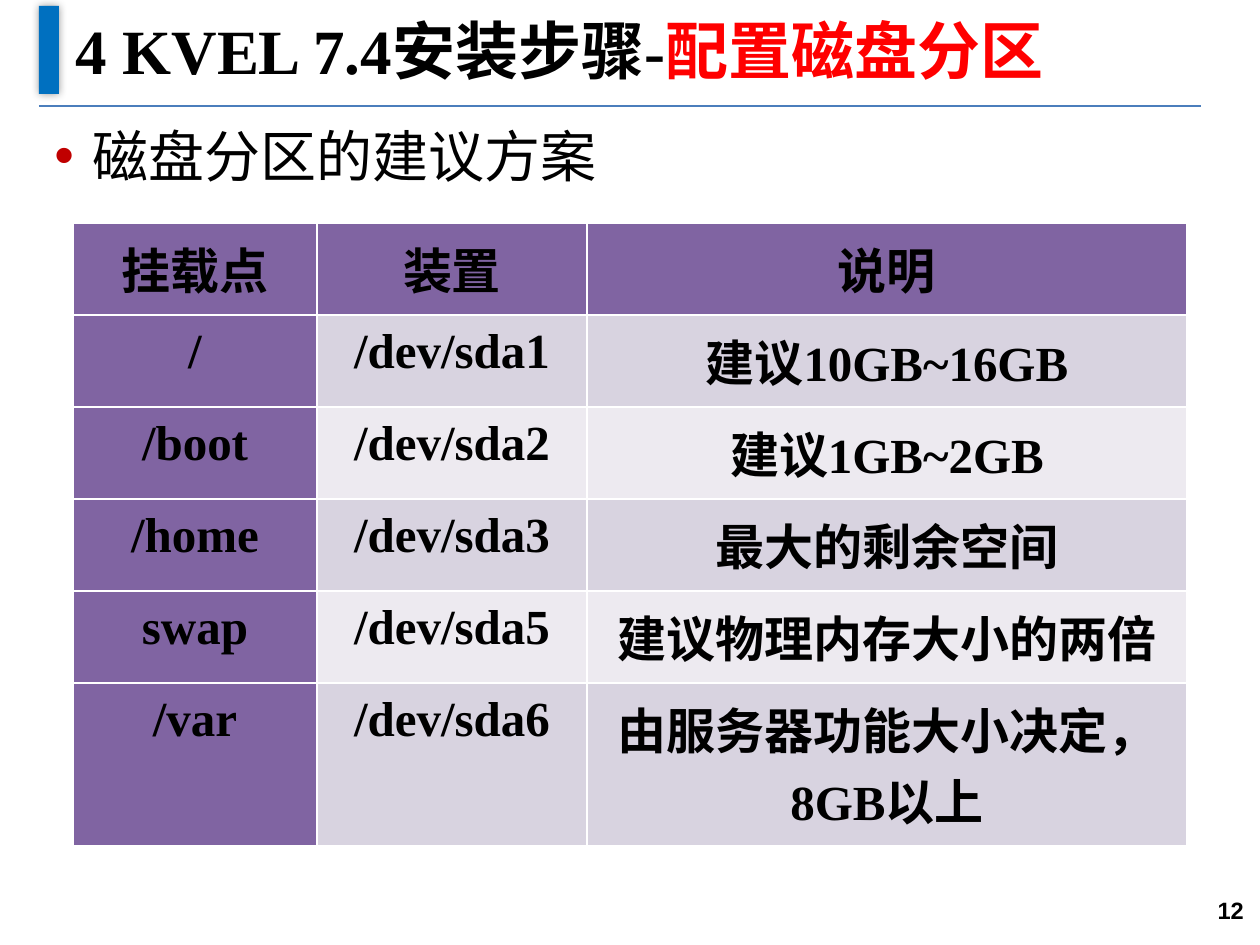
from typing import NamedTuple

from lxml.etree import SubElement
from pptx import Presentation
from pptx.dml.color import RGBColor
from pptx.enum.shapes import MSO_CONNECTOR as Connector, MSO_SHAPE as Shape
from pptx.enum.text import MSO_ANCHOR as Anchor, PP_ALIGN as Align
from pptx.oxml.ns import qn
from pptx.util import Emu, Pt

PX_PER_INCH = 126
BLACK = RGBColor(0x00, 0x00, 0x00)
WHITE = RGBColor(0xFF, 0xFF, 0xFF)
RED = RGBColor(0xFF, 0x00, 0x00)
BULLET_RED = RGBColor(0xC0, 0x00, 0x00)
BAR_BLUE = RGBColor(0x00, 0x70, 0xC0)
RULE_BLUE = RGBColor(0x4B, 0x7E, 0xBC)
PURPLE = RGBColor(0x80, 0x64, 0xA2)
DARK_BAND = RGBColor(0xD8, 0xD3, 0xE0)
LIGHT_BAND = RGBColor(0xED, 0xEA, 0xF0)
SERIF = "Times New Roman"


class Box(NamedTuple):
    left: int
    top: int
    width: int
    height: int


class Style(NamedTuple):
    size: float
    bold: bool = True
    color: RGBColor = BLACK
    font: str = SERIF


class Partition(NamedTuple):
    mount_point: str
    device: str
    note: str


TITLE = Style(36)
TABLE_TEXT = Style(28)
COLUMN_WIDTHS = (244, 270, 600)
ROW_HEIGHT = 92
LAST_ROW_HEIGHT = 163
PARTITIONS = (
    Partition("挂载点", "装置", "说明"),
    Partition("/", "/dev/sda1", "建议10GB~16GB"),
    Partition("/boot", "/dev/sda2", "建议1GB~2GB"),
    Partition("/home", "/dev/sda3", "最大的剩余空间"),
    Partition("swap", "/dev/sda5", "建议物理内存大小的两倍"),
    Partition("/var", "/dev/sda6", "由服务器功能大小决定，8GB以上"),
)


def px(length: int) -> Emu:
    return Emu(round(length * 914400 / PX_PER_INCH))


def add_run(paragraph, text: str, style: Style) -> None:
    run = paragraph.add_run()
    run.text = text
    run.font.name = style.font
    run.font.size = Pt(style.size)
    run.font.bold = style.bold
    run.font.color.rgb = style.color


def add_text(slide, box: Box, anchor: Anchor, align: Align, *runs: tuple[str, Style]):
    """Add a one-paragraph text box and return its paragraph."""
    frame = slide.shapes.add_textbox(*map(px, box)).text_frame
    frame.word_wrap = True
    frame.vertical_anchor = anchor
    paragraph = frame.paragraphs[0]
    paragraph.alignment = align
    for text, style in runs:
        add_run(paragraph, text, style)
    return paragraph


def add_bullet(paragraph, color: RGBColor, indent: int) -> None:
    properties = paragraph._p.get_or_add_pPr()
    properties.set("marL", str(px(indent)))
    properties.set("indent", str(-px(indent)))
    bullet_color = SubElement(properties, qn("a:buClr"))
    SubElement(bullet_color, qn("a:srgbClr"), val=str(color))
    SubElement(properties, qn("a:buFont"), typeface="Arial")
    SubElement(properties, qn("a:buChar"), char="•")


def add_rule(slide) -> None:
    rule = slide.shapes.add_connector(
        Connector.STRAIGHT, px(39), px(106), px(1201), px(106))
    rule.line.color.rgb = RULE_BLUE
    rule.line.width = Pt(0.75)
    SubElement(rule._element.spPr, qn("a:effectLst"))


def add_title_bar(slide) -> None:
    bar = slide.shapes.add_shape(Shape.RECTANGLE, *map(px, Box(39, 6, 20, 88)))
    bar.fill.solid()
    bar.fill.fore_color.rgb = BAR_BLUE
    bar.line.fill.background()
    effects = SubElement(bar._element.spPr, qn("a:effectLst"))
    shadow = SubElement(effects, qn("a:outerShdw"), blurRad=str(Pt(5)), dist="0")
    shade = SubElement(shadow, qn("a:srgbClr"), val=str(BLACK))
    SubElement(shade, qn("a:alpha"), val="40000")


def add_borders(cell) -> None:
    properties = cell._tc.get_or_add_tcPr()
    for side in "LRTB":
        line = SubElement(properties, qn(f"a:ln{side}"), w=str(Pt(1)))
        fill = SubElement(line, qn("a:solidFill"))
        SubElement(fill, qn("a:srgbClr"), val=str(WHITE))


def cell_fill(row: int, column: int) -> RGBColor:
    if row == 0 or column == 0:
        return PURPLE
    return DARK_BAND if row % 2 else LIGHT_BAND


def add_partition_table(slide) -> None:
    box = Box(73, 223, sum(COLUMN_WIDTHS), ROW_HEIGHT * len(PARTITIONS))
    table = slide.shapes.add_table(
        len(PARTITIONS), len(COLUMN_WIDTHS), *map(px, box)).table
    for column, width in zip(table.columns, COLUMN_WIDTHS):
        column.width = px(width)
    table.rows[len(PARTITIONS) - 1].height = px(LAST_ROW_HEIGHT)
    for row, partition in enumerate(PARTITIONS):
        for column, text in enumerate(partition):
            cell = table.cell(row, column)
            cell.margin_left = cell.margin_right = px(10)
            cell.margin_top = cell.margin_bottom = px(10)
            add_borders(cell)
            cell.fill.solid()
            cell.fill.fore_color.rgb = cell_fill(row, column)
            paragraph = cell.text_frame.paragraphs[0]
            paragraph.alignment = Align.CENTER
            add_run(paragraph, text, TABLE_TEXT)


def main() -> None:
    deck = Presentation()
    deck.slide_width, deck.slide_height = px(1260), px(945)
    slide = deck.slides.add_slide(deck.slide_layouts[6])

    add_rule(slide)
    add_title_bar(slide)
    add_text(slide, Box(63, -4, 1134, 106), Anchor.MIDDLE, Align.LEFT,
             ("4 KVEL 7.4安装步骤-", TITLE),
             ("配置磁盘分区", TITLE._replace(color=RED)))
    topic = add_text(slide, Box(42, 115, 1157, 799), Anchor.TOP, Align.JUSTIFY,
                     ("磁盘分区的建议方案", Style(32, bold=False)))
    topic.space_after = Pt(4.5)
    add_bullet(topic, BULLET_RED, indent=38)
    add_text(slide, Box(1139, 876, 117, 69), Anchor.MIDDLE, Align.RIGHT,
             ("12", Style(13.5, font="Arial")))
    add_partition_table(slide)

    deck.save("out.pptx")


if __name__ == "__main__":
    main()
